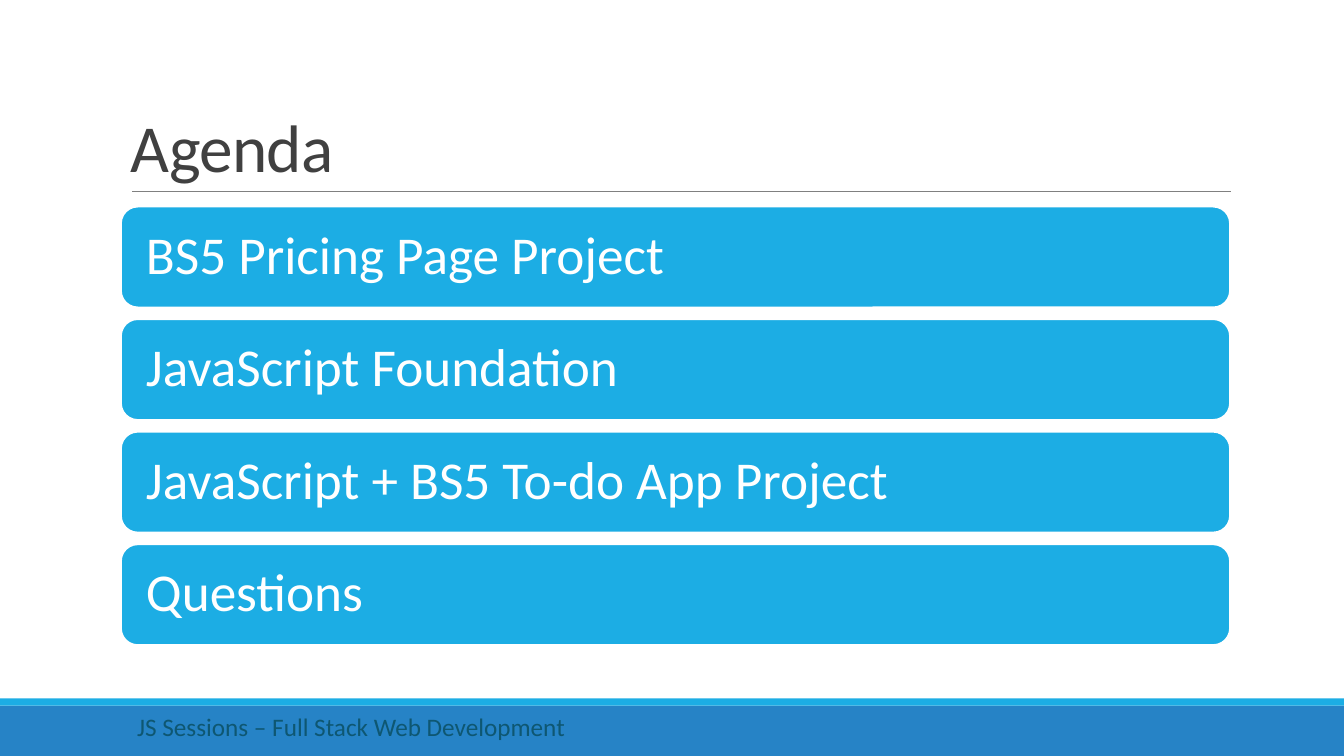
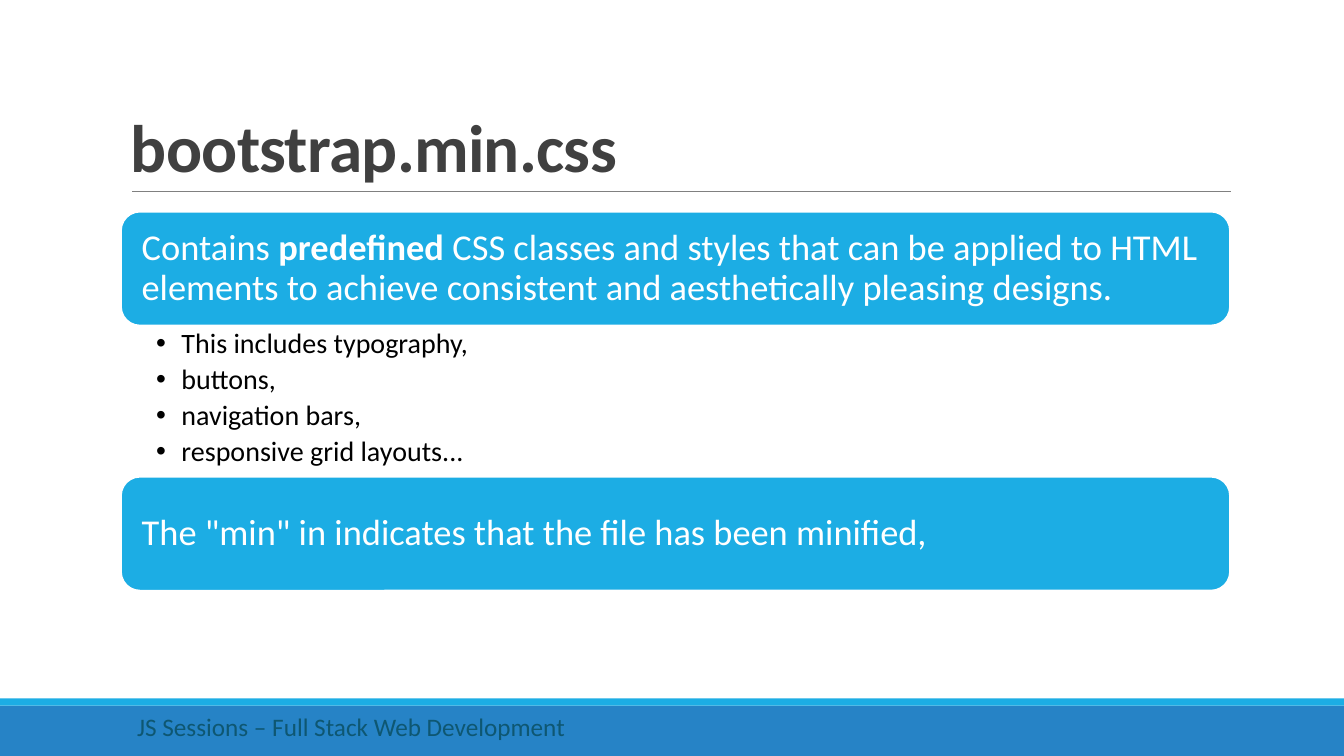
from dataclasses import dataclass
from typing import NamedTuple

from lxml.etree import SubElement
from pptx import Presentation
from pptx.dml.color import RGBColor
from pptx.enum.shapes import MSO_CONNECTOR, MSO_SHAPE
from pptx.enum.text import MSO_ANCHOR, PP_ALIGN
from pptx.oxml.ns import qn
from pptx.util import Inches, Pt


@dataclass(frozen=True)
class Theme:
    font: str = "Calibri"
    accent: str = "1CADE4"
    band: str = "2683C6"
    rule: str = "808080"
    title: str = "404040"
    footer: str = "0E5772"
    body: str = "000000"
    light: str = "FFFFFF"
    title_size: int = 48
    agenda_size: int = 38
    statement_size: int = 26
    bullet_size: int = 20
    footer_size: int = 18


class Box(NamedTuple):
    left: float
    top: float
    width: float
    height: float

    def lengths(self) -> tuple:
        return tuple(Inches(value) for value in self)


class Run(NamedTuple):
    text: str
    bold: bool = False


class Style(NamedTuple):
    size: int
    color: str
    line_spacing: float = 1.0
    space_after: int = 0
    bullet: bool = False


THEME = Theme()
WIDTH, HEIGHT = 13.33, 7.5
LEFT, CONTENT_WIDTH = 1.2, 11
RULE_Y = 1.9
BAND_TOP, STRIPE = 7, 0.07
FOOTER = "JS Sessions – Full Stack Web Development"

AGENDA = [
    "BS5 Pricing Page Project",
    "JavaScript Foundation",
    "JavaScript + BS5 To-do App Project",
    "Questions",
]
AGENDA_TOP, AGENDA_BOTTOM, AGENDA_CARD = 2.05, 6.4, 1.0

STATEMENT = [
    Run("Contains "),
    Run("predefined", True),
    Run(" CSS classes and styles that can be applied to HTML elements "
        "to achieve consistent and aesthetically pleasing designs."),
]
INCLUDED = [
    "This includes typography,",
    "buttons,",
    "navigation bars,",
    "responsive grid layouts...",
]
MINIFIED = [Run('The "min" in indicates that the file has been minified,')]
STACK_TOP, STATEMENT_HEIGHT, BULLETS_HEIGHT = 2.1, 1.13, 1.5


def add_bullet(paragraph) -> None:
    properties = paragraph._p.get_or_add_pPr()
    properties.set("marL", str(Inches(0.25)))
    properties.set("indent", str(Inches(-0.25)))
    SubElement(properties, qn("a:buFont")).set("typeface", "Arial")
    SubElement(properties, qn("a:buChar")).set("char", "•")


def write(shape, paragraphs: list[list[Run]], style: Style, anchor=MSO_ANCHOR.TOP,
          insets: tuple = (0.1, 0.05, 0.1, 0.05)) -> None:
    frame = shape.text_frame
    frame.word_wrap = True
    frame.vertical_anchor = anchor
    (frame.margin_left, frame.margin_top,
     frame.margin_right, frame.margin_bottom) = (Inches(inset) for inset in insets)
    for index, runs in enumerate(paragraphs):
        paragraph = frame.paragraphs[0] if index == 0 else frame.add_paragraph()
        paragraph.alignment = PP_ALIGN.LEFT
        paragraph.line_spacing = style.line_spacing
        paragraph.space_after = Pt(style.space_after)
        if style.bullet:
            add_bullet(paragraph)
        for part in runs:
            run = paragraph.add_run()
            run.text = part.text
            run.font.name = THEME.font
            run.font.size = Pt(style.size)
            run.font.bold = part.bold
            run.font.color.rgb = RGBColor.from_string(style.color)


def add_block(slide, box: Box, fill: str, kind=MSO_SHAPE.RECTANGLE):
    shape = slide.shapes.add_shape(kind, *box.lengths())
    shape.shadow.inherit = False
    shape.fill.solid()
    shape.fill.fore_color.rgb = RGBColor.from_string(fill)
    shape.line.fill.background()
    return shape


def add_card(slide, top: float, height: float, runs: list[Run], size: int, inset: float) -> None:
    card = add_block(slide, Box(LEFT, top, CONTENT_WIDTH, height), THEME.accent,
                     MSO_SHAPE.ROUNDED_RECTANGLE)
    card.line.color.rgb = RGBColor.from_string(THEME.light)
    card.line.width = Pt(1.25)
    write(card, [runs], Style(size, THEME.light, 0.9), MSO_ANCHOR.MIDDLE,
          (inset, 0, inset, 0))


def add_rule(slide) -> None:
    rule = slide.shapes.add_connector(
        MSO_CONNECTOR.STRAIGHT, Inches(1.31), Inches(RULE_Y), Inches(12.21), Inches(RULE_Y))
    rule.line.color.rgb = RGBColor.from_string(THEME.rule)
    rule.line.width = Pt(0.5)
    SubElement(rule._element.spPr, qn("a:effectLst"))


def add_title(slide, text: str, bold: bool) -> None:
    height = 1.59
    title = slide.shapes.add_textbox(
        *Box(LEFT, RULE_Y - height, CONTENT_WIDTH, height).lengths())
    write(title, [[Run(text, bold)]], Style(THEME.title_size, THEME.title, 0.85),
          MSO_ANCHOR.BOTTOM)
    for run in title.text_frame.paragraphs[0].runs:
        run.font._element.set("spc", "-50")


def add_base(presentation, title: str, bold: bool = False):
    slide = presentation.slides.add_slide(presentation.slide_layouts[6])
    add_block(slide, Box(0, BAND_TOP, WIDTH, HEIGHT - BAND_TOP), THEME.band)
    add_block(slide, Box(0, BAND_TOP - STRIPE, WIDTH, STRIPE), THEME.accent)
    add_rule(slide)
    add_title(slide, title, bold)
    footer = slide.shapes.add_textbox(*Box(LEFT, 7.01, 7.78, 0.4).lengths())
    write(footer, [[Run(FOOTER)]], Style(THEME.footer_size, THEME.footer),
          insets=(0.16, 0.05, 0.1, 0.05))
    return slide


def build_agenda(presentation) -> None:
    slide = add_base(presentation, "Agenda")
    pitch = (AGENDA_BOTTOM - AGENDA_TOP - AGENDA_CARD) / (len(AGENDA) - 1)
    for row, topic in enumerate(AGENDA):
        add_card(slide, AGENDA_TOP + row * pitch, AGENDA_CARD, [Run(topic)],
                 THEME.agenda_size, 0.2)


def build_stylesheet(presentation) -> None:
    slide = add_base(presentation, "bootstrap.min.css", bold=True)
    bullets_top = STACK_TOP + STATEMENT_HEIGHT
    add_card(slide, STACK_TOP, STATEMENT_HEIGHT, STATEMENT, THEME.statement_size, 0.15)
    bullets = slide.shapes.add_textbox(
        *Box(LEFT, bullets_top, CONTENT_WIDTH, BULLETS_HEIGHT).lengths())
    write(bullets, [[Run(item)] for item in INCLUDED],
          Style(THEME.bullet_size, THEME.body, 0.9, 4, True),
          insets=(0.35, 0.04, 0.2, 0.04))
    add_card(slide, bullets_top + BULLETS_HEIGHT, STATEMENT_HEIGHT, MINIFIED,
             THEME.statement_size, 0.15)


def main() -> None:
    presentation = Presentation()
    presentation.slide_width = Inches(WIDTH)
    presentation.slide_height = Inches(HEIGHT)
    build_agenda(presentation)
    build_stylesheet(presentation)
    presentation.save("out.pptx")


if __name__ == "__main__":
    main()
